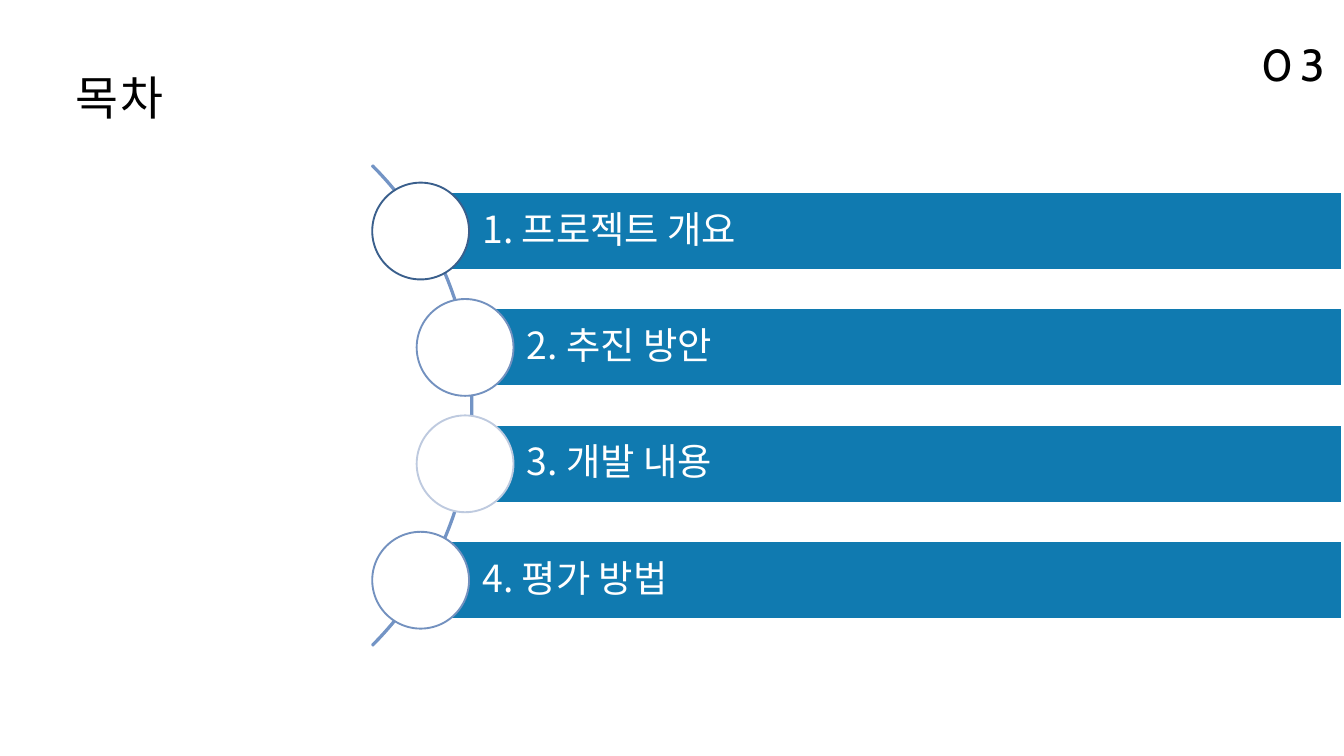
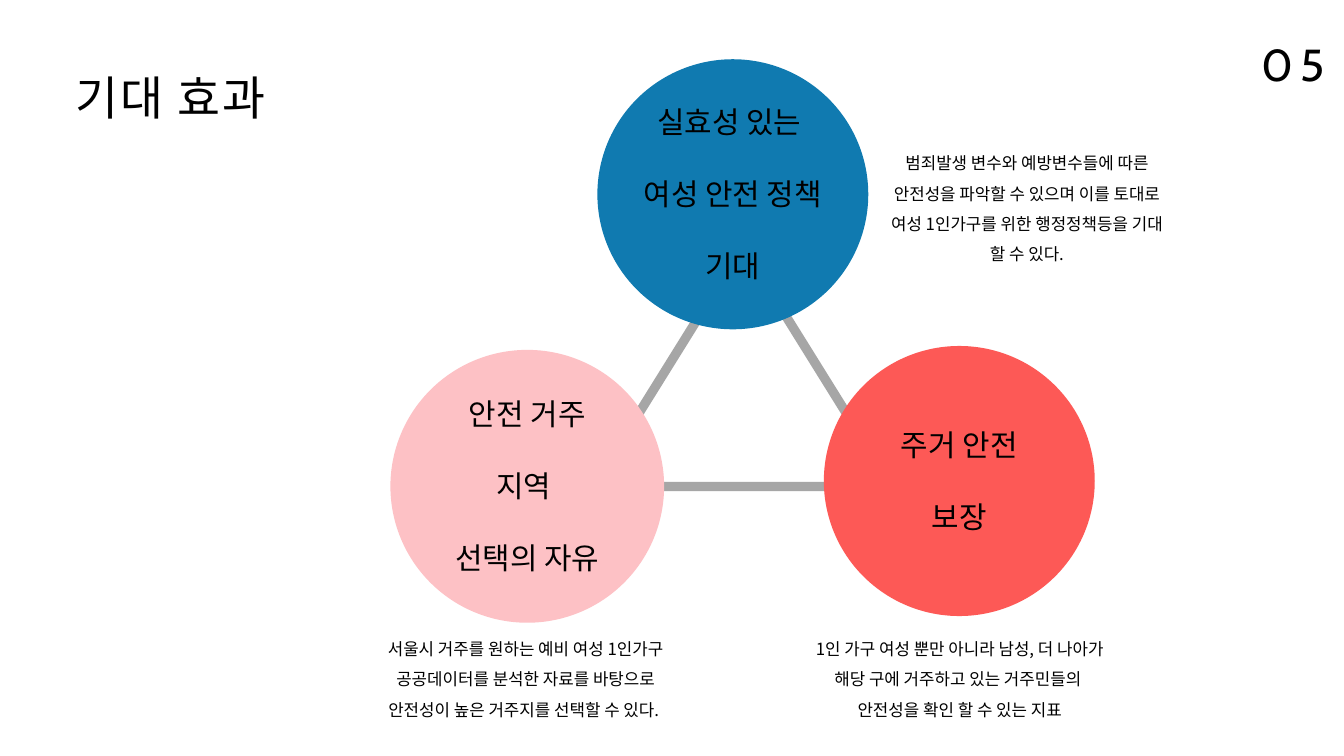
from lxml import etree
from pptx import Presentation
from pptx.dml.color import RGBColor
from pptx.enum import shapes as sh, text as tx
from pptx.oxml import ns
from pptx.util import Cm, Pt

KOREAN = "Noto Sans CJK KR"
LATIN = "Cabin"
BLACK = RGBColor(0x00, 0x00, 0x00)
WHITE = RGBColor(0xFF, 0xFF, 0xFF)
BLUE = RGBColor(0x10, 0x7A, 0xB0)
PINK = RGBColor(0xFD, 0xC1, 0xC5)
RED = RGBColor(0xFD, 0x59, 0x56)
GRAY = RGBColor(0xA6, 0xA6, 0xA6)
ARC = RGBColor(0x73, 0x94, 0xC5)
NAVY = RGBColor(0x3A, 0x5F, 0x8C)
STEEL = RGBColor(0x73, 0x91, 0xBF)
PALE = RGBColor(0xBE, 0xCA, 0xDF)

LEFT, CENTER = tx.PP_ALIGN.LEFT, tx.PP_ALIGN.CENTER
INNER, OUTER = 15.9, 17.58
RIGHT = 50.72
TOP, STEP = 7.26, 4.4
BAR, DOT = 2.95, 3.66
WIDE, HIGH = 10.24, 10.21
LINE, LIFT = 2.7, 0.84

TOPICS = [
    ("1. 프로젝트 개요", INNER, NAVY),
    ("2. 추진 방안", OUTER, STEEL),
    ("3. 개발 내용", OUTER, PALE),
    ("4. 평가 방법", INNER, STEEL),
]
GOALS = [
    (22.58, 2.24, BLUE, None, 8.71, 3,
     ["실효성 있는 ", "여성 안전 정책 기대"]),
    (14.81, 13.28, PINK, PINK, 6.91, 3,
     ["안전 거주 지역 ", "선택의 자유"]),
    (31.14, 13.08, RED, None, 6.68, 2,
     ["주거 안전 보장"]),
]
NOTES = [
    (33.1, 5.28, ["범죄발생 변수와 예방변수들에 따른 안전성을 파악할 수 있으며 "
                  "이를 토대로 여성 1인가구를 위한 행정정책등을 기대 할 수 있다."]),
    (14.15, 23.65, ["서울시 거주를 원하는 예비 여성 1인가구 공공데이터를 분석한 "
                    "자료를 바탕으로 안전성이 높은 거주지를 선택할 수 있다. "]),
    (30.56, 23.65, ["1인 가구 여성 뿐만 아니라 남성, 더 나아가 ",
                    "해당 구에 거주하고 있는 거주민들의 ",
                    "안전성을 확인 할 수 있는 지표"]),
]


def write(frame, lines, size, color=BLACK, face=KOREAN, align=LEFT,
          lead=None, track=0):
    frame.word_wrap = True
    frame.text = "\n".join(lines)
    for para in frame.paragraphs:
        para.alignment = align
        para.line_spacing = lead
        for run in para.runs:
            run.font.size = Pt(size)
            run.font.color.rgb = color
            run.font.name = face
            props = run.font._element
            etree.SubElement(props, ns.qn("a:ea")).set("typeface", face)
            if track:
                props.set("spc", str(track * 100))


def add_text(slide, box, lines, size, **style):
    frame = slide.shapes.add_textbox(*map(Cm, box)).text_frame
    write(frame, lines, size, **style)
    return frame


def add_form(slide, kind, box, fill=None, line=None, width=2):
    form = slide.shapes.add_shape(kind, *map(Cm, box))
    form.shadow.inherit = False
    if fill is None:
        form.fill.background()
    else:
        form.fill.solid()
        form.fill.fore_color.rgb = fill
    if line is None:
        form.line.fill.background()
    else:
        form.line.color.rgb = line
        form.line.width = Pt(width)
    return form


def add_page(deck, title, number):
    slide = deck.slides.add_slide(deck.slide_layouts[6])
    add_text(slide, (2.62, 2.46, 22.96, 2.39), [title], 50, track=2)
    frame = add_text(slide, (47.42, 1.24, 9.65, 2.31), [number], 48,
                     face=LATIN, track=8)
    frame.vertical_anchor = tx.MSO_ANCHOR.BOTTOM
    return slide


def add_topic(slide, row, label, left, ring):
    top = TOP + row * STEP
    bar = add_form(slide, sh.MSO_SHAPE.RECTANGLE,
                   (left, top, RIGHT - left, BAR), BLUE, WHITE)
    frame = bar.text_frame
    frame.margin_left = Cm(2.34)
    frame.margin_right = frame.margin_top = frame.margin_bottom = Cm(0.28)
    frame.vertical_anchor = tx.MSO_ANCHOR.MIDDLE
    write(frame, [label], 40, color=WHITE, lead=0.9)
    add_form(slide, sh.MSO_SHAPE.OVAL,
             (left - DOT / 2, top + (BAR - DOT) / 2, DOT, DOT), WHITE, ring)


def add_goal(slide, left, top, fill, line, width, rows, lines):
    add_form(slide, sh.MSO_SHAPE.OVAL, (left, top, WIDE, HIGH),
             fill, line, 3)
    tall = rows * LINE
    box = (left + (WIDE - width) / 2, top + (HIGH - tall) / 2 - LIFT,
           width, tall)
    add_text(slide, box, lines, 32, align=CENTER, lead=2.0)


def add_note(slide, left, top, lines):
    add_text(slide, (left, top, 11.43, 3.71), lines, 18,
             align=CENTER, lead=1.5)


def build_contents(deck):
    slide = add_page(deck, "목차", "03")
    arc = add_form(slide, sh.MSO_SHAPE.BLOCK_ARC,
                   (-7.82, 2.49, 25.68, 25.68), line=ARC)
    for spot, value in enumerate((189, 27, 0.002)):
        arc.adjustments[spot] = value
    for row, topic in enumerate(TOPICS):
        add_topic(slide, row, *topic)


def build_effects(deck):
    slide = add_page(deck, "기대 효과", "05")
    add_form(slide, sh.MSO_SHAPE.ISOSCELES_TRIANGLE,
             (22.43, 9.32, 11.28, 9.07), line=GRAY, width=10)
    for goal in GOALS:
        add_goal(slide, *goal)
    for note in NOTES:
        add_note(slide, *note)


def main():
    deck = Presentation()
    deck.slide_width, deck.slide_height = Cm(50.8), Cm(28.58)
    build_contents(deck)
    build_effects(deck)
    deck.save("out.pptx")


if __name__ == "__main__":
    main()
